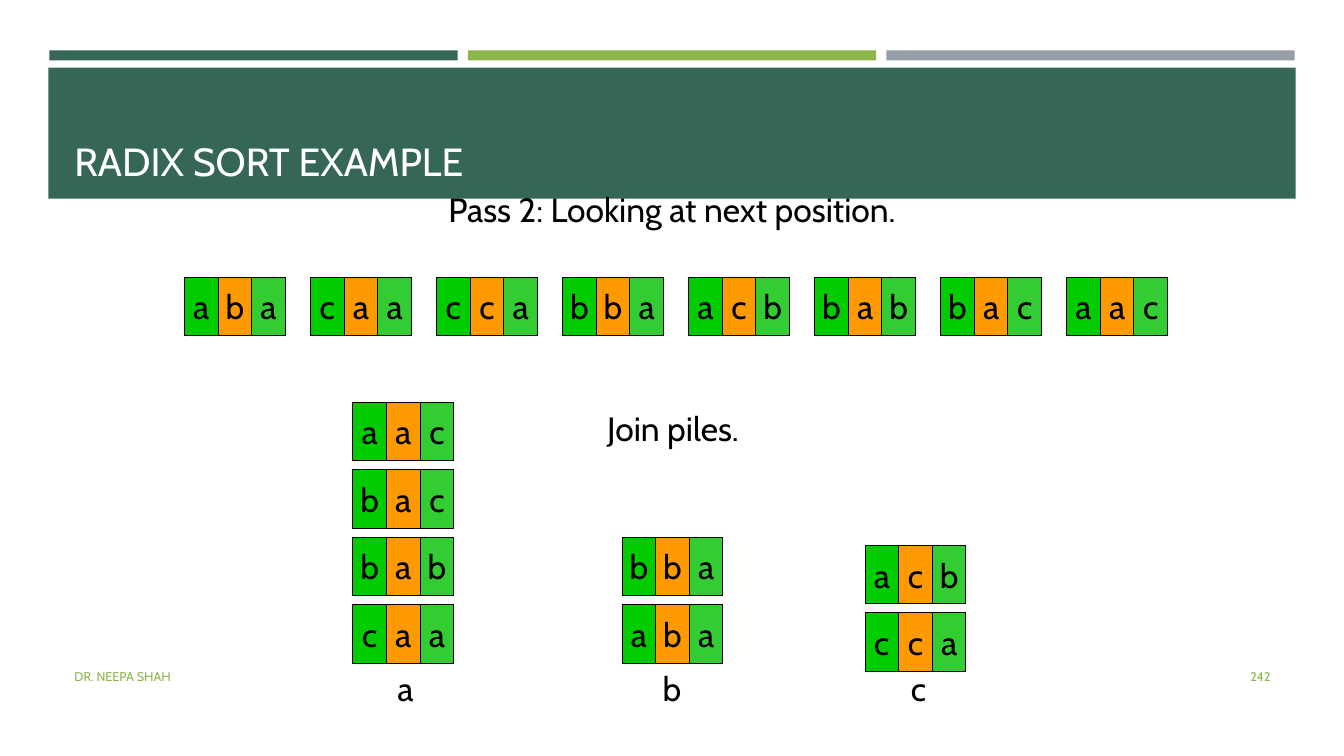
"""Build the radix sort slide showing pass 2 and its three piles."""
from pptx import Presentation
from pptx import util as u
from pptx.dml import color
from pptx.enum import shapes, text

COLORS = {
    "teal": "366658", "lime": "8CB64A", "gray": "969FA7",
    "first": "00CC00", "second": "FF9900", "third": "33CC33",
    "black": "000000", "white": "FFFFFF",
}
FONT = "Cabin"
CELL_WIDTH = 1 / 3
CELL_HEIGHT = 0.58
ROW_PITCH = 0.67


def add_rectangle(parent, left, top, width, height, fill):
    shape = parent.add_shape(
        shapes.MSO_SHAPE.RECTANGLE,
        u.Inches(left), u.Inches(top), u.Inches(width), u.Inches(height))
    shape.shadow.inherit = False
    shape.fill.solid()
    shape.fill.fore_color.rgb = color.RGBColor.from_string(COLORS[fill])
    shape.line.fill.background()
    return shape


def write(shape, words, size, ink, align, anchor, wrap):
    frame = shape.text_frame
    frame.word_wrap = wrap
    frame.vertical_anchor = anchor
    paragraph = frame.paragraphs[0]
    paragraph.alignment = align
    run = paragraph.add_run()
    run.text = words
    font_format = {"name": FONT, "size": u.Pt(size)}
    for attribute, value in font_format.items():
        setattr(run.font, attribute, value)
    run.font.color.rgb = color.RGBColor.from_string(COLORS[ink])


presentation = Presentation()
presentation.slide_width = u.Inches(13.33)
presentation.slide_height = u.Inches(7.5)
slide = presentation.slides.add_slide(presentation.slide_layouts[6])

LEFT, CENTER, RIGHT = text.PP_ALIGN.LEFT, text.PP_ALIGN.CENTER, text.PP_ALIGN.RIGHT
TOP, MIDDLE, BOTTOM = text.MSO_ANCHOR.TOP, text.MSO_ANCHOR.MIDDLE, text.MSO_ANCHOR.BOTTOM

for index, fill in enumerate(["teal", "lime", "gray"]):
    add_rectangle(slide.shapes, 0.49 + 4.15 * index, 0.5, 4.05, 0.1, fill)
add_rectangle(slide.shapes, 0.48, 0.67, 12.37, 1.3, "teal")

words_in_row = ["aba", "caa", "cca", "bba", "acb", "bab", "bac", "aac"]
cards = [(word, 1.83 + 1.25 * index, 2.75) for index, word in enumerate(words_in_row)]

piles = [
    (3.5, 6, ["caa", "bab", "bac", "aac"]),
    (6.17, 6, ["aba", "bba"]),
    (8.58, 6.08, ["cca", "acb"]),
]
for left, bottom_row, pile in piles:
    for level, word in enumerate(pile):
        cards.append((word, left, bottom_row - ROW_PITCH * level))

for word, left, top in cards:
    card = slide.shapes.add_group_shape()
    for position, (letter, fill) in enumerate(zip(word, ["first", "second", "third"])):
        cell = add_rectangle(card.shapes, left + CELL_WIDTH * position, top,
                             CELL_WIDTH, CELL_HEIGHT, fill)
        cell.line.color.rgb = color.RGBColor.from_string(COLORS["black"])
        cell.line.width = u.Pt(0.75)
        write(cell, letter, 24, "black", CENTER, MIDDLE, False)

labels = [
    ("RADIX SORT EXAMPLE", 0.64, 0.77, 12.06, 1.11, 28, "white", LEFT, BOTTOM, True),
    ("Pass 2: Looking at next position.", 4.17, 1.83, 4.99, 0.5, 24, "black", CENTER, TOP, False),
    ("Join piles.", 5.85, 4, 1.65, 0.5, 24, "black", CENTER, TOP, False),
    ("a", 3.83, 6.58, 0.38, 0.5, 24, "black", CENTER, TOP, False),
    ("b", 6.47, 6.58, 0.39, 0.5, 24, "black", CENTER, TOP, False),
    ("c", 8.93, 6.58, 0.36, 0.5, 24, "black", CENTER, TOP, False),
    ("DR. NEEPA SHAH", 0.64, 6.51, 7.56, 0.4, 9, "lime", LEFT, MIDDLE, True),
    ("242", 11.55, 6.51, 1.15, 0.4, 9, "lime", RIGHT, MIDDLE, True),
]
for words, left, top, width, height, *style in labels:
    box = slide.shapes.add_textbox(
        u.Inches(left), u.Inches(top), u.Inches(width), u.Inches(height))
    write(box, words, *style)

presentation.save("out.pptx")
